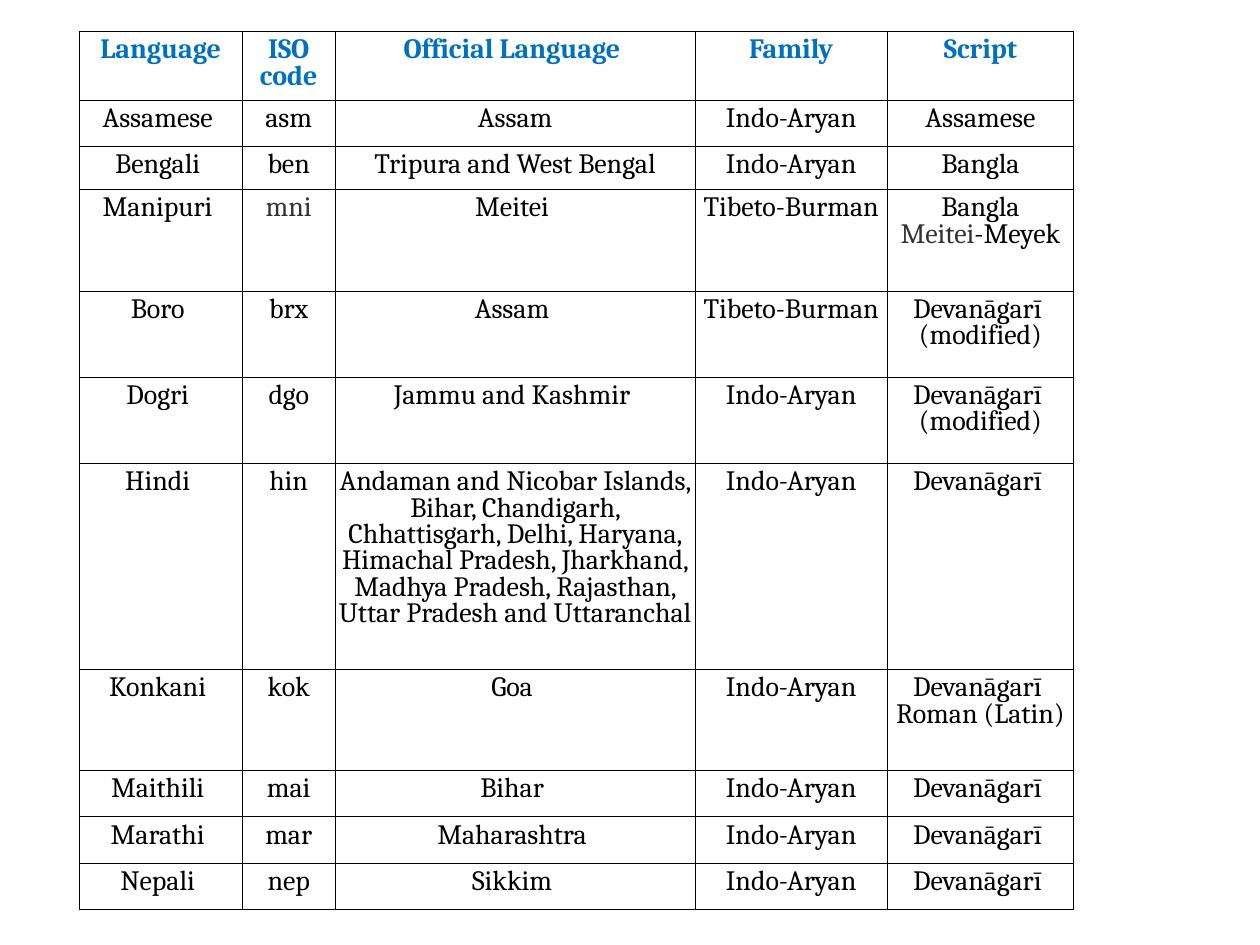
from lxml import etree
from pptx import Presentation, util as u
from pptx.dml.color import RGBColor
from pptx.enum import text
from pptx.oxml import ns

BLUE = RGBColor(0x00, 0x70, 0xC0)
BLACK = RGBColor(0x00, 0x00, 0x00)
GREY = RGBColor(0x33, 0x33, 0x33)

COLUMN_WIDTHS = [3.28, 1.88, 7.25, 3.88, 3.75]
ROW_HEIGHTS = [1.39, 0.93, 0.87, 2.04, 1.74, 1.74, 4.15, 2.04, 0.93, 0.93, 0.93]

# A line break starts a new paragraph; text between asterisks is grey.
LANGUAGES = [
    ["Language", "ISO\ncode", "Official Language ", "Family", "Script"],
    ["Assamese ", "asm", "Assam", "Indo-Aryan", "Assamese"],
    ["Bengali ", "ben", "Tripura and West Bengal", "Indo-Aryan", "Bangla"],
    ["Manipuri ", "*mni*", "Meitei ", "Tibeto-Burman", "Bangla\n*Meitei*-Meyek"],
    ["Boro ", "brx", "Assam ", "Tibeto-Burman", "Devanāgarī \n(modified)"],
    ["Dogri ", "dgo", "Jammu and Kashmir ", "Indo-Aryan", "Devanāgarī \n(modified)"],
    ["Hindi ", "hin",
     "Andaman and Nicobar Islands, Bihar, Chandigarh, Chhattisgarh, Delhi, "
     "Haryana, Himachal Pradesh, Jharkhand, Madhya Pradesh, Rajasthan, "
     "Uttar Pradesh and Uttaranchal ", "Indo-Aryan", "Devanāgarī "],
    ["Konkani ", "kok", "Goa ", "Indo-Aryan", "Devanāgarī \nRoman (Latin)"],
    ["Maithili ", "mai", "Bihar ", "Indo-Aryan", "Devanāgarī "],
    ["Marathi ", "mar", "Maharashtra ", "Indo-Aryan", "Devanāgarī "],
    ["Nepali ", "nep", "Sikkim ", "Indo-Aryan", "Devanāgarī "],
]


class SlideBuilder:
    font_name = "Cambria"
    font_size = u.Pt(16)
    line_spacing = 0.82
    border_width = u.Pt(0.06)

    def __init__(self, slide):
        self.slide = slide

    def table(self, rows, left, top, widths, heights):
        table = self.slide.shapes.add_table(
            len(rows), len(widths), u.Cm(left), u.Cm(top),
            u.Cm(sum(widths)), u.Cm(sum(heights))).table
        table.first_row = table.horz_banding = False
        for column, width in zip(table.columns, widths):
            column.width = u.Cm(width)
        for row, height, texts in zip(table.rows, heights, rows):
            row.height = u.Cm(height)
            for cell, content in zip(row.cells, texts):
                self.cell(cell, content, header=texts is rows[0])

    def cell(self, cell, content, header):
        cell.margin_left = cell.margin_right = u.Cm(0.05)
        cell.margin_top = cell.margin_bottom = u.Cm(0.13)
        self.borders(cell)
        cell.fill.background()
        for index, line in enumerate(content.split("\n")):
            frame = cell.text_frame
            paragraph = frame.add_paragraph() if index else frame.paragraphs[0]
            self.paragraph(paragraph, line, header)

    def paragraph(self, paragraph, line, header):
        paragraph.alignment = text.PP_ALIGN.CENTER
        paragraph.line_spacing = self.line_spacing
        font = paragraph.font
        font.name, font.size, font.bold = self.font_name, self.font_size, header
        font.color.rgb = BLUE if header else BLACK
        for index, part in enumerate(line.split("*")):
            if part:
                run = paragraph.add_run()
                run.text = part
                if index % 2:
                    run.font.color.rgb = GREY

    def borders(self, cell):
        properties = cell._tc.get_or_add_tcPr()
        for side in ("a:lnL", "a:lnR", "a:lnT", "a:lnB"):
            line = etree.SubElement(properties, ns.qn(side), w=str(self.border_width))
            fill = etree.SubElement(line, ns.qn("a:solidFill"))
            etree.SubElement(fill, ns.qn("a:srgbClr"), val=str(BLACK))


def main():
    presentation = Presentation()
    presentation.slide_width, presentation.slide_height = u.Cm(25.4), u.Cm(19.05)
    blank_layout = presentation.slide_layouts.get_by_name("Blank")
    builder = SlideBuilder(presentation.slides.add_slide(blank_layout))
    builder.table(LANGUAGES, 1.6, 0.63, COLUMN_WIDTHS, ROW_HEIGHTS)
    presentation.save("out.pptx")


if __name__ == "__main__":
    main()
